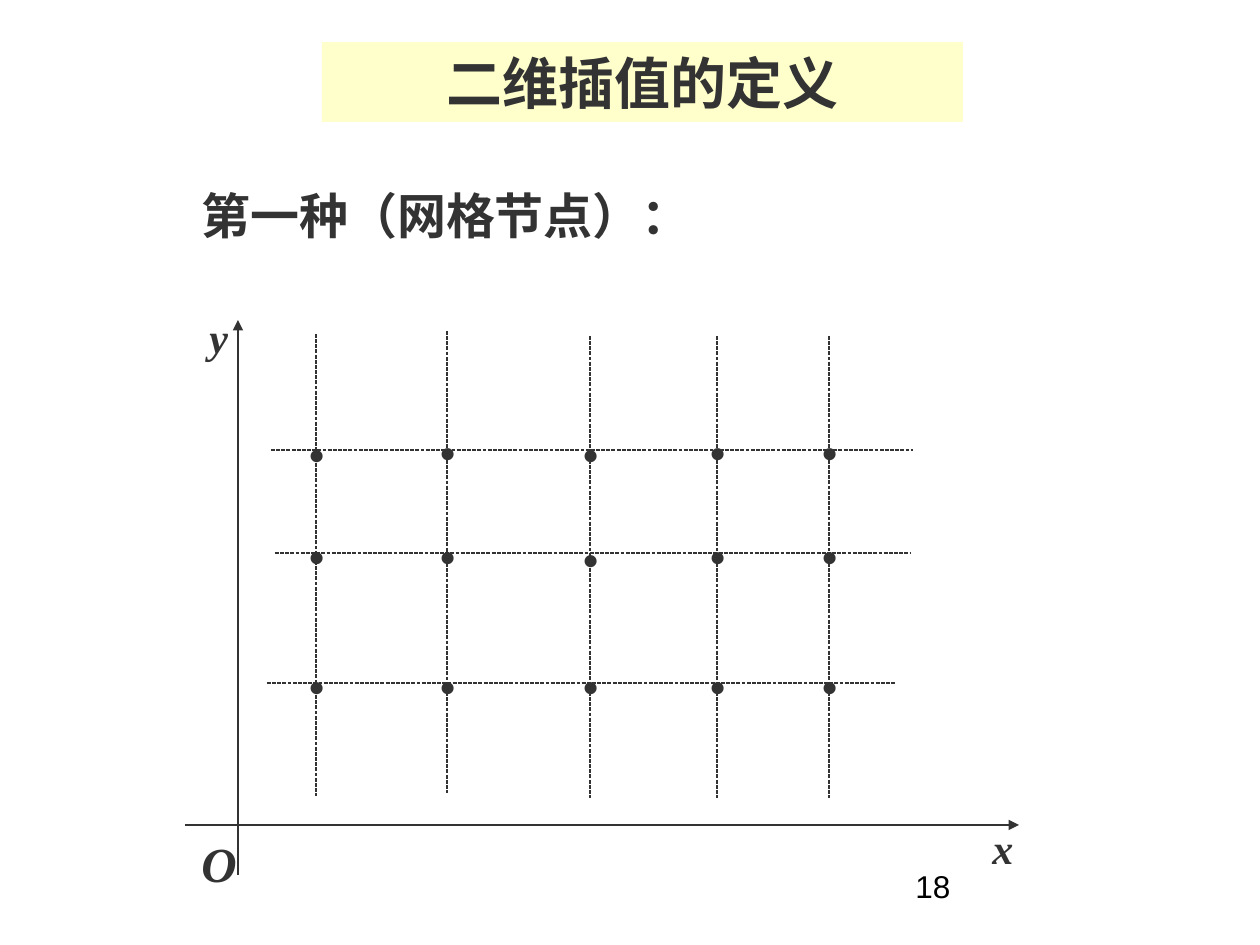
from pptx import Presentation
from pptx import util as u
from pptx.dml.color import RGBColor
from pptx.enum import dml, shapes, text
from pptx.oxml.ns import qn
from lxml import etree

INK = RGBColor(0x33, 0x33, 0x33)
BLACK = RGBColor(0, 0, 0)
BANNER = RGBColor(0xFF, 0xFF, 0xCC)
SERIF = "Times New Roman"
SANS = "Arial"


class SlideBuilder:
    scale = 914400 / 126

    def __init__(self, presentation):
        self.slide = presentation.slides.add_slide(presentation.slide_layouts[5])

    def emu(self, *lengths):
        return [u.Emu(round(length * self.scale)) for length in lengths]

    def set_text(self, shape, words, size, font=SERIF, color=INK, bold=True,
                 italic=False, wrap=True, align=text.PP_ALIGN.LEFT):
        frame = shape.text_frame
        frame.text = words
        frame.word_wrap = wrap
        frame.auto_size = text.MSO_AUTO_SIZE.NONE
        frame.vertical_anchor = text.MSO_ANCHOR.TOP
        paragraph = frame.paragraphs[0]
        paragraph.alignment = align
        paragraph.font.size = u.Pt(size)
        paragraph.font.name = font
        paragraph.font.bold = bold
        paragraph.font.italic = italic
        paragraph.font.color.rgb = color

    def title(self, words, left, top, width, height):
        shape = self.slide.shapes.title
        shape.left, shape.top, shape.width, shape.height = self.emu(left, top, width, height)
        shape.fill.solid()
        shape.fill.fore_color.rgb = BANNER
        self.set_text(shape, words, 32, align=text.PP_ALIGN.CENTER)

    def label(self, words, left, top, width, height, size, **style):
        shape = self.slide.shapes.add_textbox(*self.emu(left, top, width, height))
        self.set_text(shape, words, size, **style)

    def line(self, x1, y1, x2, y2):
        connector = self.slide.shapes.add_connector(
            shapes.MSO_CONNECTOR.STRAIGHT, *self.emu(x1, y1, x2, y2))
        connector.line.color.rgb = INK
        connector.line.width = u.Pt(0.75)
        etree.SubElement(connector._element.spPr, qn("a:effectLst"))
        return connector

    def grid_line(self, x1, y1, x2, y2):
        self.line(x1, y1, x2, y2).line.dash_style = dml.MSO_LINE.SQUARE_DOT

    def axis(self, x1, y1, x2, y2):
        outline = self.line(x1, y1, x2, y2)._element.spPr.find(qn("a:ln"))
        etree.SubElement(outline, qn("a:tailEnd"), type="triangle")


def main():
    presentation = Presentation()
    presentation.slide_width = u.Inches(10)
    presentation.slide_height = u.Inches(7.5)
    builder = SlideBuilder(presentation)

    builder.title("二维插值的定义", 322, 42, 641, 80)
    builder.label("第一种（网格节点）：", 189, 179, 610, 72, 28)

    builder.axis(185, 825, 1019, 825)
    builder.axis(238, 875, 238, 320)

    columns = [(316, 334), (447, 331), (590, 336), (717, 336), (829, 336)]
    rows = [(450, 271, 913, [422, 420, 422, 420, 420]),
            (553, 275, 911, [524, 524, 527, 524, 524]),
            (683, 267, 896, [654] * 5)]
    for x, top in columns:
        builder.grid_line(x, top, x, top + 462)
    for y, left, right, node_tops in rows:
        builder.grid_line(left, y, right, y)
        for (x, _), node_top in zip(columns, node_tops):
            builder.label("•", x - 19, node_top, 77, 63, 24, font=SANS)

    builder.label("x", 980, 816, 101, 63, 24, italic=True)
    builder.label("y", 197, 305, 78, 63, 24, italic=True)
    builder.label("O", 189, 827, 60, 72, 28, italic=True, wrap=False)
    builder.label("18", 903, 861, 262, 63, 18, font=SANS, color=BLACK, bold=False)

    presentation.save("out.pptx")


if __name__ == "__main__":
    main()
